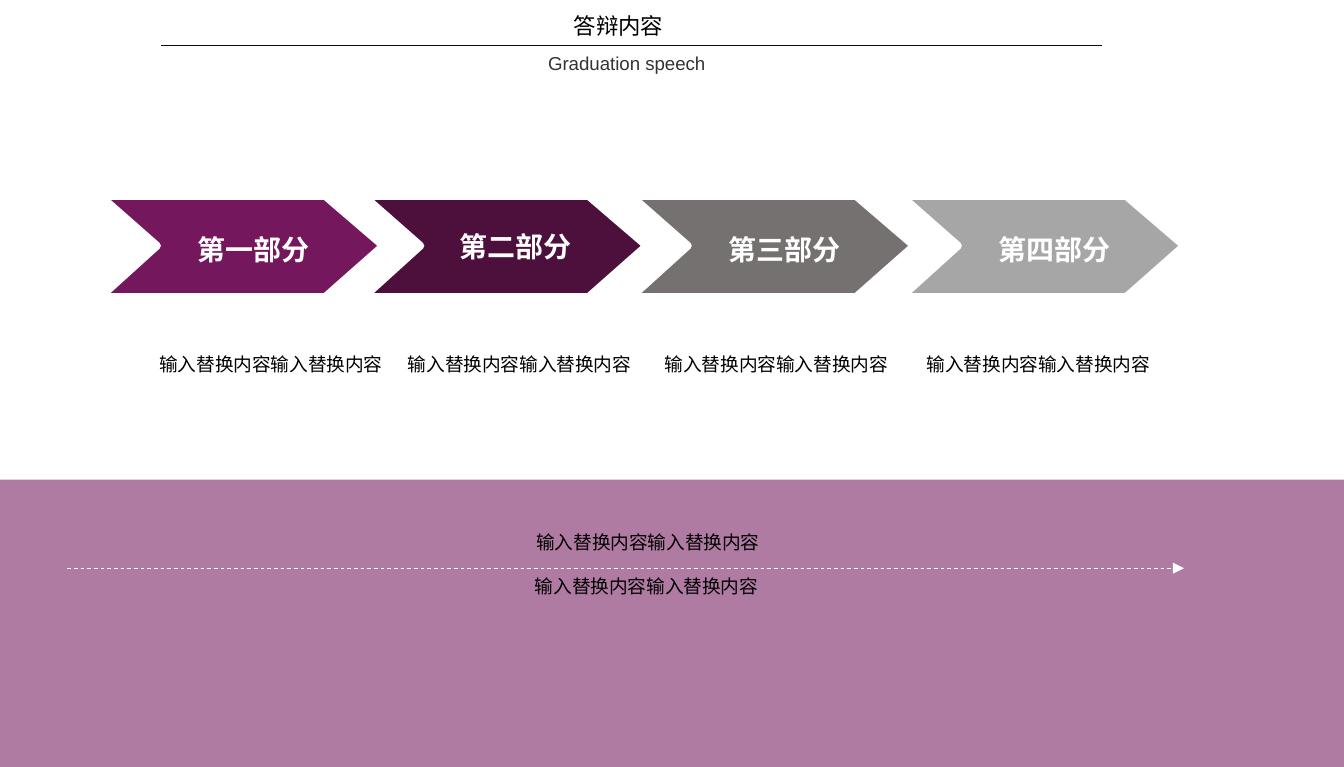
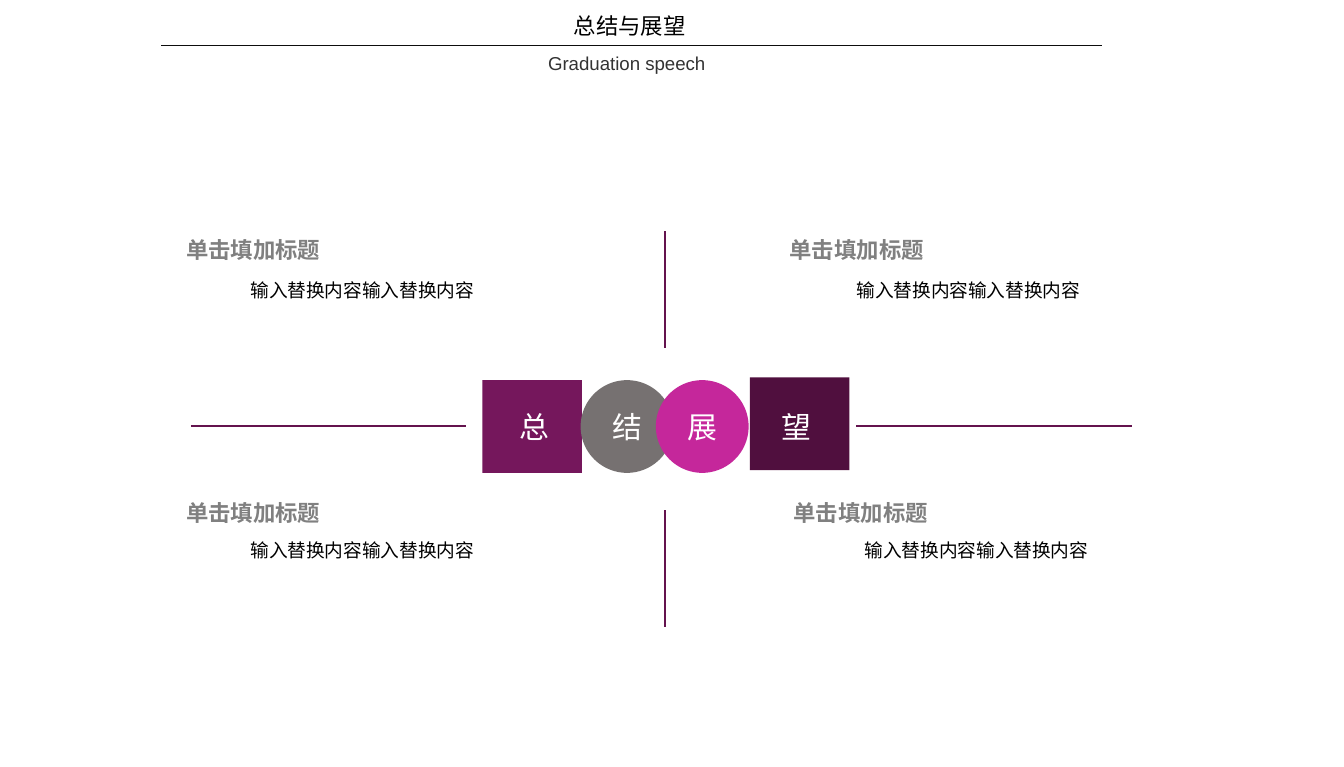
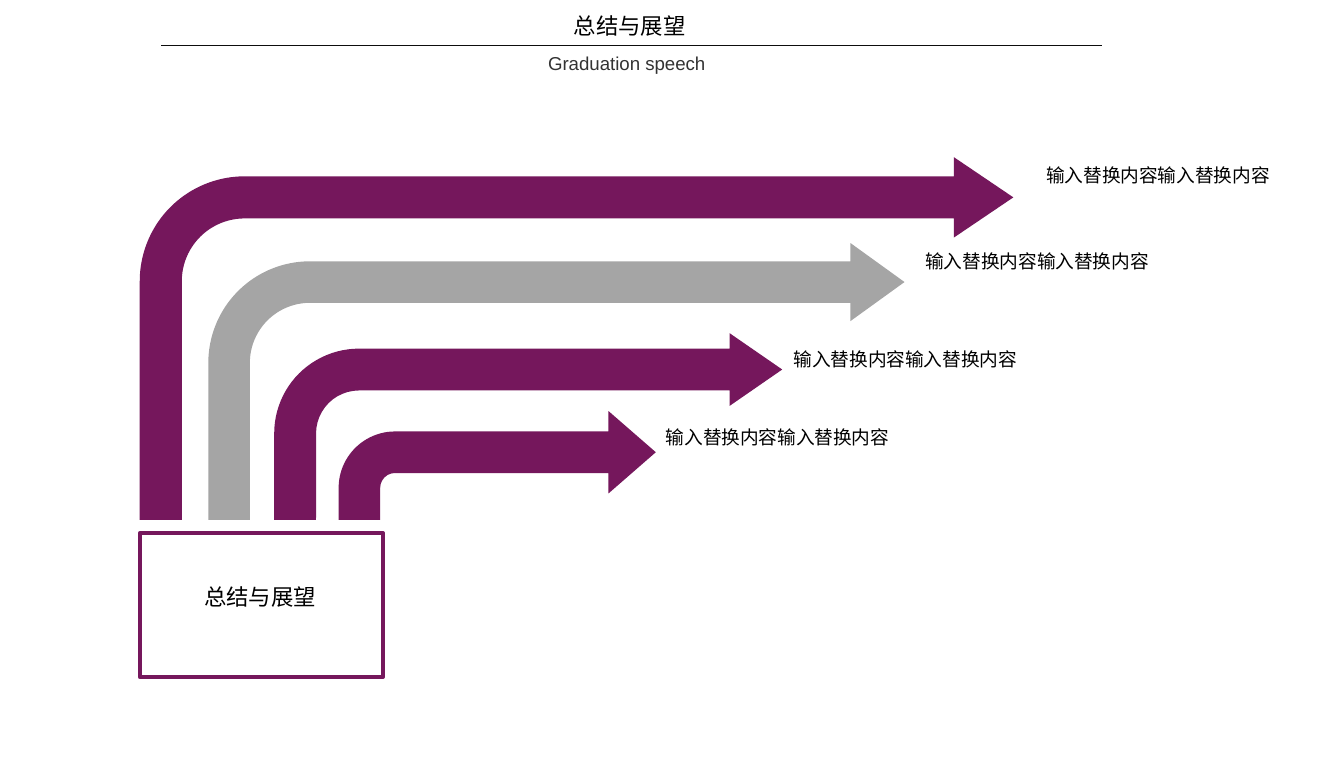
from lxml import etree
from pptx import Presentation
from pptx import util as u
from pptx.dml import color
from pptx.enum import dml, shapes, text
from pptx.oxml import ns

HUES = {
    "plum": "75175C", "wine": "4D0F3C", "dusk": "500F3E", "rule": "64134E",
    "pink": "C5279B", "stone": "767171", "ash": "A6A6A6", "fog": "A5A5A5",
    "grey": "808080", "ink": "0D0D0D", "slate": "333333",
    "black": "000000", "white": "FFFFFF",
}
HAN = "Noto Sans CJK SC"
BODY = "输入替换内容输入替换内容"
HEAD = "单击填加标题"
CLOSE = "总结与展望"
KIND = shapes.MSO_SHAPE
MID = text.PP_ALIGN.CENTER


def hue(name):
    """Return the named colour."""
    return color.RGBColor.from_string(HUES[name])


def sub(node, tag, **attrs):
    """Append a drawing element to an XML node."""
    return etree.SubElement(node, ns.qn(tag), **attrs)


def write(frame, words, size, tint="black", font=HAN, bold=False, align=None, lead=None):
    """Add one run of text to the first paragraph of a frame."""
    para = frame.paragraphs[0]
    para.alignment = align
    if lead:
        para.line_spacing = lead
    run = para.add_run()
    run.text = words
    run.font.size = u.Pt(size)
    run.font.name = font
    run.font.bold = bold
    run.font.color.rgb = hue(tint)
    sub(run.font._element, "a:ea", typeface=font)


def label(parts, box, words, size, wrap=True, inset=True, anchor=None, **style):
    """Add a text box that grows with its text."""
    frame = parts.add_textbox(*map(u.Inches, box)).text_frame
    frame.word_wrap = wrap
    frame.auto_size = text.MSO_AUTO_SIZE.SHAPE_TO_FIT_TEXT
    if anchor:
        frame.vertical_anchor = anchor
    if not inset:
        frame.margin_left = frame.margin_right = 0
        frame.margin_top = frame.margin_bottom = 0
    write(frame, words, size, **style)


def body(parts, x, y, wide=2.15):
    """Add a centred line of body text."""
    label(parts, (x, y, wide, 0.27), BODY, 10, align=MID)


def paint(item, fill=None, edge=None, width=1):
    """Set fill and outline, without a shadow."""
    item.shadow.inherit = False
    if fill:
        item.fill.solid()
        item.fill.fore_color.rgb = hue(fill)
    else:
        item.fill.background()
    if edge:
        item.line.color.rgb = hue(edge)
        item.line.width = u.Pt(width)
    else:
        item.line.fill.background()
    return item


def block(parts, kind, box, fill=None, **style):
    """Add a painted preset shape."""
    return paint(parts.add_shape(kind, *map(u.Inches, box)), fill, **style)


def line(parts, start, end, tint, width):
    """Add a straight connector."""
    item = parts.add_connector(shapes.MSO_CONNECTOR.STRAIGHT, *map(u.Inches, start + end))
    item.line.color.rgb = hue(tint)
    item.line.width = u.Pt(width)
    sub(item._element.spPr, "a:effectLst")
    return item


def header(parts, title):
    """Add the shared title, rule and subtitle."""
    line(parts, (1.2, 0.34), (8.2, 0.34), "ink", 0.5)
    wide = 0.2 + len(title) / 6
    label(parts, (4.17, 0.04, wide, 0.3), title, 12, wrap=False)
    label(parts, (3.98, 0.34, 1.67, 0.27), "Graduation speech", 10, tint="slate", font="Arial")


def chevron(parts, x, y, words, fill, box, lead):
    """Add a notched arrow with its label, grouped."""
    group = parts.add_group_shape().shapes
    spots = [(0, 0), (1.67, 0), (2.1, 0.37), (1.67, 0.75), (0, 0.75), (0.42, 0.37)]
    spots = [(u.Inches(x + dx), u.Inches(y + dy)) for dx, dy in spots]
    path = group.build_freeform(*spots[0])
    path.add_line_segments(spots[1:], close=True)
    paint(path.convert_to_shape(), fill, edge="white", width=4)
    dx, dy, wide, high = box
    label(group, (x + dx, y + dy, wide, high), words, 15, tint="white", bold=True,
          align=MID, lead=lead, anchor=text.MSO_ANCHOR.MIDDLE)


def band(parts, y):
    """Add the tinted lower band."""
    item = block(parts, KIND.RECTANGLE, (0, y, 10, 5.71 - y), "plum")
    tint = item._element.spPr.find(ns.qn("a:solidFill"))[0]
    sub(tint, "a:alpha", val="57000")


def track(parts, x, y):
    """Add the dashed arrow and the text on both sides of it."""
    arrow = line(parts, (x, y), (x + 8.31, y), "white", 0.5)
    arrow.line.dash_style = dml.MSO_LINE.DASH
    sub(arrow.line._get_or_add_ln(), "a:tailEnd", type="triangle")
    body(parts, x + 1.35, y - 0.33, 5.94)
    body(parts, x + 1.34, y, 5.94)


def outline(parts):
    """Build the slide of four parts."""
    band(parts, 3.57)
    header(parts, "答辩内容")
    steps = [
        (2.71, "第二部分", "wine", (0.24, 0.2, 1.77, 0.35), None),
        (0.75, "第一部分", "plum", (0.22, 0.18, 1.83, 0.38), 1.2),
        (6.71, "第四部分", "ash", (0.25, 0.18, 1.77, 0.38), 1.2),
        (4.7, "第三部分", "stone", (0.26, 0.18, 1.75, 0.38), 1.2),
    ]
    for x, *rest in steps:
        chevron(parts, x, 1.46, *rest)
    for x in (0.94, 2.79, 4.7, 6.65):
        body(parts, x, 2.58)
    track(parts, 0.5, 4.23)


def badge(parts, x, y):
    """Add the row of two squares and two circles with one character each."""
    block(parts, KIND.RECTANGLE, (x + 1.99, y - 0.02, 0.74, 0.69), "dusk")
    block(parts, KIND.RECTANGLE, (x, y, 0.74, 0.69), "plum")
    for dx, word, fill in ((0.73, "结", "stone"), (1.29, "展", "pink")):
        disc = block(parts, KIND.OVAL, (x + dx, y, 0.69, 0.69), fill)
        disc.text_frame.vertical_anchor = text.MSO_ANCHOR.MIDDLE
        write(disc.text_frame, word, 16, tint="white", align=MID)
    for dx, word in ((0.18, "总"), (2.13, "望")):
        label(parts, (x + dx, y + 0.16, 0.43, 0.37), word, 16, wrap=False, tint="white")


def note(parts, x, y, dx, dy):
    """Add a heading with body text below it."""
    body(parts, x + dx, y + dy, 2.97)
    label(parts, (x, y, 1.37, 0.24), HEAD, 12, inset=False, tint="grey",
          bold=True, align=MID, lead=1.2)


def summary(parts):
    """Build the slide of four quarters."""
    header(parts, CLOSE)
    badge(parts, 3.59, 2.83)
    for y in (1.72, 3.8):
        line(parts, (4.95, y), (4.95, y + 0.87), "rule", 1)
    for x in (1.42, 6.37):
        line(parts, (x, 3.17), (x + 2.05, 3.17), "rule", 1)
    for place in ((1.2, 1.72, 0.01, 0.31), (1.2, 3.68, 0.01, 0.28),
                  (5.69, 1.72, 0.03, 0.31), (5.72, 3.68, 0.06, 0.28)):
        note(parts, *place)


def bend(parts, x, y, wide, fill, turns, base=3.87):
    """Add a bent arrow that rises from the base line."""
    arrow = block(parts, KIND.BENT_ARROW, (x, y, wide, base - y), fill)
    for i, turn in enumerate(turns):
        arrow.adjustments[i] = turn


def root(parts, x, y):
    """Add the framed box that the arrows leave."""
    block(parts, KIND.RECTANGLE, (x, y, 1.81, 1.07), edge="plum", width=2.25)
    label(parts, (x + 0.38, y + 0.32, 1.04, 0.3), CLOSE, 12, wrap=False)


def outlook(parts):
    """Build the slide of bent arrows."""
    header(parts, CLOSE)
    bends = [
        (1.04, 1.17, 6.5, "plum", (0.116, 0.111, 0.164, 0.289)),
        (1.55, 1.81, 5.18, "fog", (0.15, 0.141, 0.195, 0.367)),
        (2.04, 2.48, 3.78, "plum", (0.224, 0.195, 0.282, 0.454)),
        (2.52, 3.06, 2.36, "plum", (0.382, 0.379, 0.435, 0.518)),
    ]
    for item in bends:
        bend(parts, *item)
    for x, y in ((7.54, 1.17), (6.64, 1.81), (5.66, 2.54), (4.71, 3.12)):
        body(parts, x, y)
    root(parts, 1.04, 3.97)


def main():
    """Build and save the deck."""
    deck = Presentation()
    deck.slide_width, deck.slide_height = u.Inches(10), u.Inches(5.71)
    for build in (outline, summary, outlook):
        build(deck.slides.add_slide(deck.slide_layouts[6]).shapes)
    deck.save("out.pptx")


if __name__ == "__main__":
    main()
